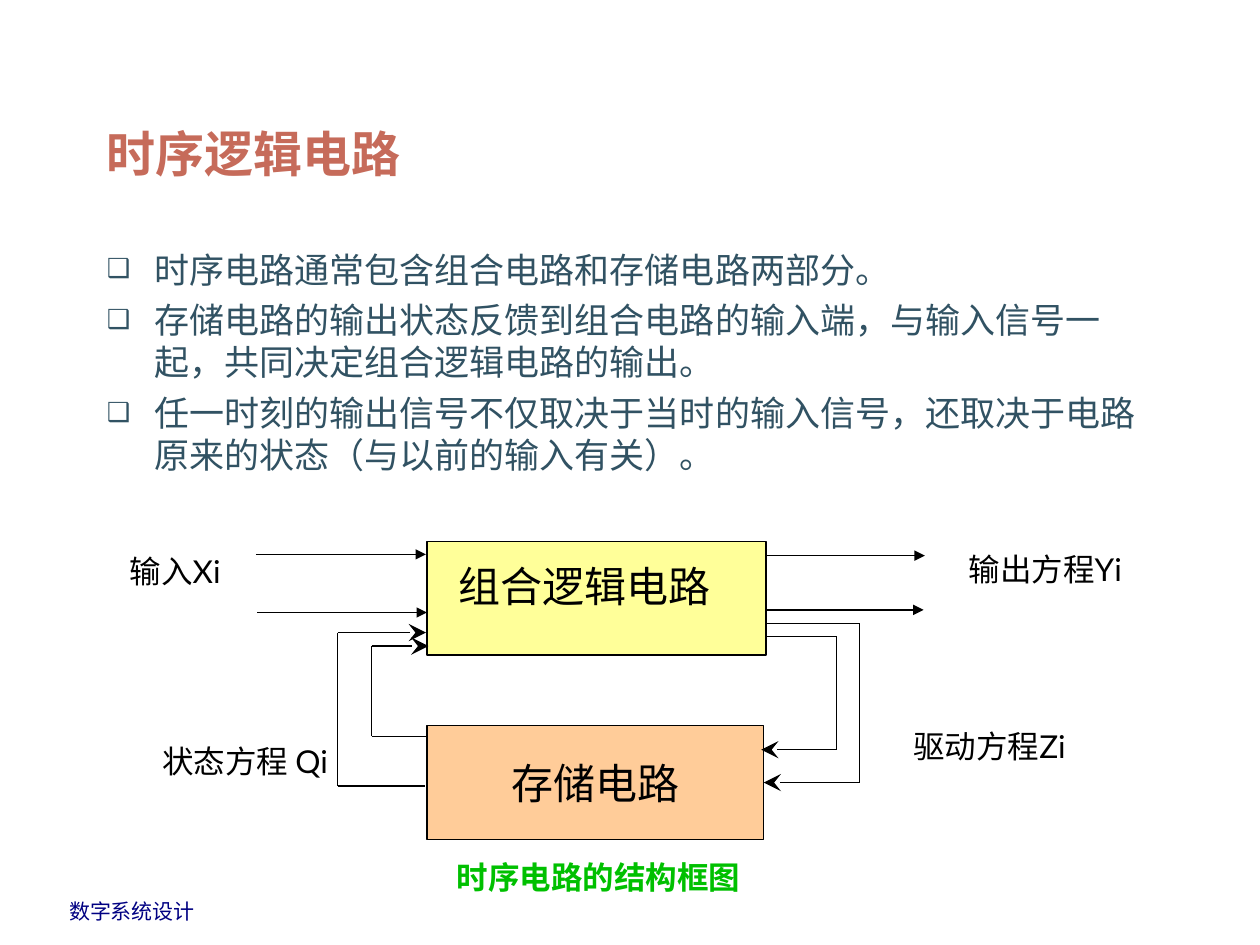
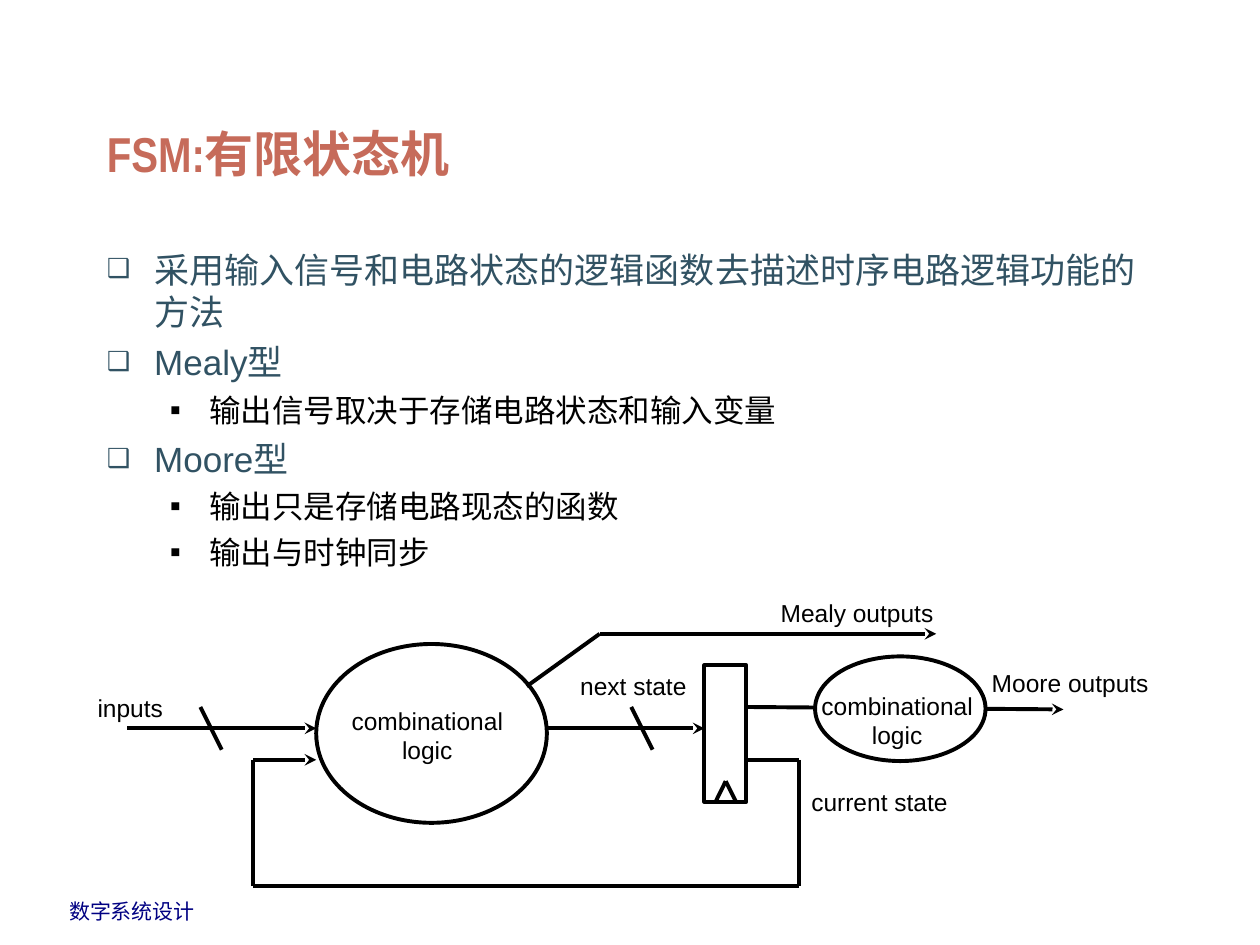
from dataclasses import dataclass
from typing import Optional

from lxml.etree import SubElement
from pptx import Presentation
from pptx.dml.color import RGBColor
from pptx.enum.shapes import MSO_CONNECTOR, MSO_SHAPE
from pptx.enum.text import MSO_ANCHOR, PP_ALIGN
from pptx.oxml.ns import qn
from pptx.util import Pt

BLACK, WHITE = "000000", "FFFFFF"
TITLE, BODY, FOOTER, CAPTION = "C66B5A", "315263", "000082", "00C000"
YELLOW, ORANGE = "FFFF99", "FFCC99"
RIGHT_SIDE = 3


@dataclass(frozen=True)
class Style:
    """Describe the look of a text."""
    size: float
    font: str
    color: str = BLACK
    bold: bool = False
    align: PP_ALIGN = PP_ALIGN.LEFT
    anchor: MSO_ANCHOR = MSO_ANCHOR.TOP
    wrap: bool = True


@dataclass(frozen=True)
class Label:
    """Place one text on a slide."""
    box: tuple
    lines: tuple
    style: Style


@dataclass(frozen=True)
class Node:
    """Describe an outlined block of a diagram."""
    kind: MSO_SHAPE
    box: tuple
    fill: str
    weight: float


@dataclass(frozen=True)
class Wire:
    """Describe a run of straight lines, with an optional arrow at its end."""
    points: tuple
    arrow: Optional[str] = None
    size: str = "med"


@dataclass(frozen=True)
class Bullet:
    """Describe one level of the body list."""
    char: str
    margin: float
    hang: float
    before: float
    size: float
    color: str
    percent: int


LEVELS = (Bullet("❑", 27, 27, 5, 20, BODY, 75),
          Bullet("▪", 58.5, 22.5, 4.5, 18, BLACK, 100))
TITLE_STYLE = Style(28, "Arial Narrow", TITLE, bold=True, anchor=MSO_ANCHOR.BOTTOM)
FOOTER_STYLE = Style(12, "Arial", FOOTER, wrap=False)
BLOCK_STYLE = Style(24, "Lato")
STORAGE_STYLE = Style(24, "Lato", align=PP_ALIGN.CENTER, anchor=MSO_ANCHOR.MIDDLE, wrap=False)
SIGNAL_STYLE = Style(18, "Lato")
CAPTION_STYLE = Style(18, "Lato", CAPTION, bold=True, align=PP_ALIGN.CENTER)
FSM_STYLE = Style(14, "Arial", align=PP_ALIGN.CENTER, anchor=MSO_ANCHOR.MIDDLE, wrap=False)


def rgb(value: str) -> RGBColor:
    """Turn a hex string into a colour."""
    return RGBColor.from_string(value)


def add_run(p, text: str, size: float, font: str, color: str, bold: bool = False) -> None:
    """Append a formatted run to a paragraph."""
    r = p.add_run()
    r.text = text
    r.font.size, r.font.name, r.font.bold = Pt(size), font, bold
    r.font.color.rgb = rgb(color)


def write(tf, lines: tuple, style: Style) -> None:
    """Fill a text frame with one paragraph per line."""
    tf.word_wrap, tf.vertical_anchor = style.wrap, style.anchor
    for i, line in enumerate(lines):
        p = tf.add_paragraph() if i else tf.paragraphs[0]
        p.alignment = style.align
        add_run(p, line, style.size, style.font, style.color, style.bold)


def add_label(s, label: Label) -> None:
    """Draw a text box."""
    write(s.shapes.add_textbox(*map(Pt, label.box)).text_frame, label.lines, label.style)


def add_node(s, node: Node):
    """Draw an outlined block and return it."""
    sp = s.shapes.add_shape(node.kind, *map(Pt, node.box))
    sp.shadow.inherit = False
    sp.fill.solid()
    sp.fill.fore_color.rgb = rgb(node.fill)
    sp.line.color.rgb = rgb(BLACK)
    sp.line.width = Pt(node.weight)
    return sp


def add_wire(s, wire: Wire, weight: float):
    """Draw a wire and return its last connector."""
    for start, end in zip(wire.points, wire.points[1:]):
        cxn = s.shapes.add_connector(MSO_CONNECTOR.STRAIGHT, *map(Pt, start + end))
        cxn.line.color.rgb = rgb(BLACK)
        cxn.line.width = Pt(weight)
        SubElement(cxn._element.spPr, qn("a:effectLst"))
    if wire.arrow:
        SubElement(cxn.line._get_or_add_ln(), qn("a:tailEnd"),
                   type=wire.arrow, w=wire.size, len=wire.size)
    return cxn


def add_body(s, items: tuple) -> None:
    """Draw the bulleted list from pairs of level and text."""
    tf = s.shapes.add_textbox(Pt(54), Pt(138.2), Pt(612), Pt(324)).text_frame
    tf.word_wrap = True
    for i, (level, text) in enumerate(items):
        b = LEVELS[level]
        p = tf.add_paragraph() if i else tf.paragraphs[0]
        p.level = level
        if i:
            p.space_before = Pt(b.before)
        pPr = p._p.get_or_add_pPr()
        pPr.set("marL", str(Pt(b.margin)))
        pPr.set("indent", str(-Pt(b.hang)))
        pPr.set("hangingPunct", "0")
        SubElement(SubElement(pPr, qn("a:buClr")), qn("a:srgbClr"), val=b.color)
        SubElement(pPr, qn("a:buSzPct"), val=str(b.percent * 1000))
        SubElement(pPr, qn("a:buFont"), typeface="Arial")
        SubElement(pPr, qn("a:buChar"), char=b.char)
        add_run(p, text, b.size, "Arial", b.color)


def add_slide(prs, title: str, items: tuple):
    """Add a slide with footer, title and list."""
    s = prs.slides.add_slide(prs.slide_layouts[6])
    add_label(s, Label((32.4, 509.8, 86.4, 21.6), ("数字系统设计",), FOOTER_STYLE))
    add_label(s, Label((54, 18, 612, 90), (title,), TITLE_STYLE))
    add_body(s, items)
    return s


def sequential_slide(prs) -> None:
    """Build the slide on sequential logic circuits."""
    s = add_slide(prs, "时序逻辑电路", (
        (0, "时序电路通常包含组合电路和存储电路两部分。"),
        (0, "存储电路的输出状态反馈到组合电路的输入端，与输入信号一起，共同决定组合逻辑电路的输出。"),
        (0, "任一时刻的输出信号不仅取决于当时的输入信号，还取决于电路原来的状态（与以前的输入有关）。"),
    ))
    add_node(s, Node(MSO_SHAPE.RECTANGLE, (244, 309.6, 193.8, 64.8), YELLOW, 0.75))
    storage = add_node(s, Node(MSO_SHAPE.RECTANGLE, (244, 414.8, 192.4, 64.8), ORANGE, 0.75))
    write(storage.text_frame, ("存储电路",), STORAGE_STYLE)
    wires = (
        Wire(((146.2, 316.8), (243.4, 316.8)), "triangle"),
        Wire(((146.9, 350), (244, 350)), "triangle"),
        Wire(((437.8, 317.5), (528.5, 317.5)), "triangle"),
        Wire(((437.8, 348.5), (527.8, 348.5)), "triangle"),
        Wire(((437.8, 363.6), (478, 363.6), (478, 428.4), (435, 428.4)), "stealth", "lg"),
        Wire(((244, 420.8), (212.4, 420.8), (212.4, 369.2), (244.8, 369.2)), "stealth", "lg"),
        Wire(((242.8, 449.2), (193, 449.2), (193, 361.5), (243.4, 361.5)), "stealth", "lg"),
    )
    for wire in wires:
        add_wire(s, wire, 0.75)
    drive = Wire(((437.8, 356.4), (491.2, 356.4), (491.2, 447.2), (436.4, 447.2)), "stealth", "lg")
    add_wire(s, drive, 0.75).end_connect(storage, RIGHT_SIDE)
    for box, text, style in (
        ((254.9, 316.8, 170.6, 36), "组合逻辑电路", BLOCK_STYLE),
        ((546.5, 311, 117.4, 28.8), "输出方程Yi", SIGNAL_STYLE),
        ((514.8, 411.8, 121.7, 28.8), "驱动方程Zi", SIGNAL_STYLE),
        ((85.7, 420.5, 118.8, 28.8), "状态方程 Qi", SIGNAL_STYLE),
        ((67, 311.8, 105.8, 28.8), "输入Xi", SIGNAL_STYLE),
        ((216.7, 486.7, 250.6, 28.8), "时序电路的结构框图", CAPTION_STYLE),
    ):
        add_label(s, Label(box, (text,), style))


def fsm_slide(prs) -> None:
    """Build the slide on finite state machines."""
    s = add_slide(prs, "FSM:有限状态机", (
        (0, "采用输入信号和电路状态的逻辑函数去描述时序电路逻辑功能的方法"),
        (0, "Mealy型"),
        (1, "输出信号取决于存储电路状态和输入变量"),
        (0, "Moore型"),
        (1, "输出只是存储电路现态的函数"),
        (1, "输出与时钟同步"),
    ))
    add_node(s, Node(MSO_SHAPE.RECTANGLE, (402.5, 380.2, 24, 78), WHITE, 2.25))
    add_node(s, Node(MSO_SHAPE.OVAL, (180.7, 368, 131.8, 102.2), WHITE, 2.25))
    wires = (
        Wire(((409, 458), (414.7, 446.4), (420.5, 458))),
        Wire(((72.7, 416.2), (180.7, 416.2)), "stealth"),
        Wire(((312.5, 416.2), (402.5, 416.2)), "stealth"),
        *(Wire(((x, 404), (x + 12.2, 428.4))) for x in (114.5, 360.7)),
        Wire(((427, 434.2), (456.7, 434.2), (456.7, 506.2), (144.7, 506.2),
              (144.7, 434.2), (180.7, 434.2)), "stealth"),
        Wire(((427, 404), (607.7, 405.4)), "stealth"),
        Wire(((301, 392.2), (342.7, 362.2), (535, 362.2)), "stealth"),
    )
    for wire in wires:
        add_wire(s, wire, 2.25)
    add_node(s, Node(MSO_SHAPE.OVAL, (465.8, 375.1, 97.4, 59.8), WHITE, 2.25))
    for box, text in (
        ((47, 392.4, 55, 23.8), "inputs"),
        ((557.6, 378, 108, 23.8), "Moore outputs"),
        ((435.8, 338.4, 108, 23.8), "Mealy outputs"),
        ((322, 380.2, 80, 23.8), "next state"),
        ((454.6, 446.4, 96, 23.8), "current state"),
    ):
        add_label(s, Label(box, (text,), FSM_STYLE))
    for x, y in ((192.2, 399.6), (460.7, 391)):
        add_label(s, Label((x, y, 104, 41), ("combinational", "logic"), FSM_STYLE))


def main() -> None:
    """Build and save the presentation."""
    prs = Presentation()
    prs.slide_width, prs.slide_height = Pt(720), Pt(540)
    sequential_slide(prs)
    fsm_slide(prs)
    prs.save("out.pptx")


if __name__ == "__main__":
    main()
